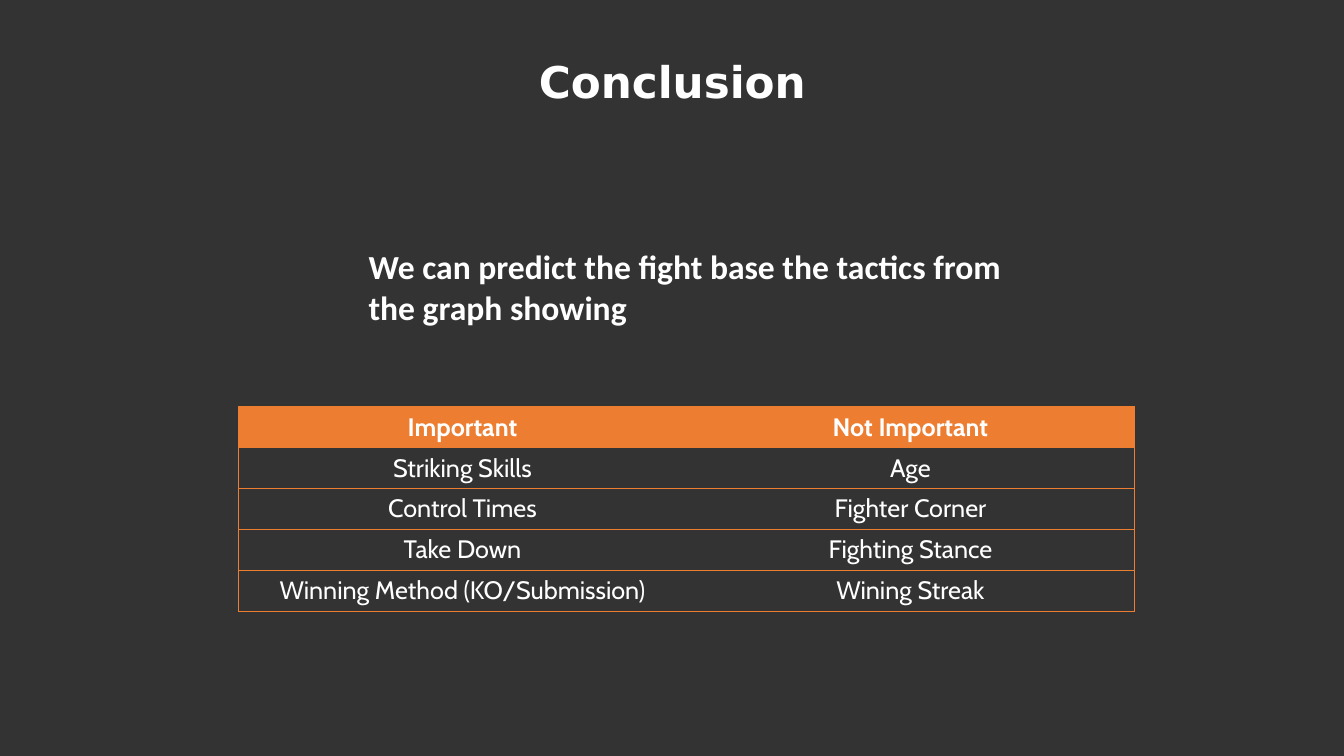
from dataclasses import dataclass

from lxml.etree import SubElement
from pptx import Presentation
from pptx.dml.color import RGBColor
from pptx.enum.shapes import MSO_SHAPE
from pptx.enum.text import MSO_ANCHOR, MSO_AUTO_SIZE, PP_ALIGN
from pptx.oxml.ns import qn
from pptx.slide import Slide
from pptx.table import _Cell
from pptx.text.text import TextFrame, _Paragraph
from pptx.util import Cm, Pt

BLACK = RGBColor(0x00, 0x00, 0x00)
WHITE = RGBColor(0xFF, 0xFF, 0xFF)
ORANGE = RGBColor(0xED, 0x7D, 0x31)

WIDTH, HEIGHT = Cm(33.87), Cm(19.05)
COL_WIDTH, ROW_HEIGHT = Cm(11.29), Cm(1.03)


@dataclass(frozen=True)
class Style:
    font: str
    size: float
    bold: bool
    align: PP_ALIGN


@dataclass(frozen=True)
class Factor:
    major: str
    minor: str


TITLE = Style("DejaVu Sans", 31.2, True, PP_ALIGN.CENTER)
CLAIM = Style("Calibri", 24, True, PP_ALIGN.LEFT)
HEAD = Style("Cabin", 18, True, PP_ALIGN.CENTER)
BODY = Style("Cabin", 18, False, PP_ALIGN.CENTER)

FACTORS = [
    Factor("Important", "Not Important"),
    Factor("Striking Skills", "Age"),
    Factor("Control Times", "Fighter Corner"),
    Factor("Take Down", "Fighting Stance"),
    Factor("Winning Method (KO/Submission)", "Wining Streak"),
]


def write(frame: TextFrame, text: str, style: Style) -> _Paragraph:
    para = frame.paragraphs[0]
    para.alignment = style.align
    run = para.add_run()
    run.text = text
    run.font.name = style.font
    run.font.size = Pt(style.size)
    run.font.bold = style.bold
    run.font.color.rgb = WHITE
    return para


def add_veil(slide: Slide) -> None:
    """Cover the page with see-through black, behind all else."""
    veil = slide.shapes.add_shape(MSO_SHAPE.RECTANGLE, 0, 0, WIDTH, HEIGHT)
    veil.shadow.inherit = False
    veil.line.fill.background()
    veil.fill.solid()
    veil.fill.fore_color.rgb = BLACK
    tint = next(veil.element.iter(qn("a:srgbClr")))
    SubElement(tint, qn("a:alpha"), val="80000")
    slide.shapes.element.insert(2, veil.element)


def set_title(slide: Slide) -> None:
    title = slide.shapes.title
    title.left, title.top = Cm(7.52), Cm(0.25)
    title.width, title.height = Cm(18.85), Cm(3.76)
    frame = title.text_frame
    frame.auto_size = MSO_AUTO_SIZE.NONE
    frame.vertical_anchor = MSO_ANCHOR.MIDDLE
    write(frame, "Conclusion", TITLE).line_spacing = 0.9


def add_claim(slide: Slide) -> None:
    box = slide.shapes.add_textbox(Cm(9.04), Cm(5.77), Cm(17.3), Cm(2.72))
    frame = box.text_frame
    frame.word_wrap = True
    frame.vertical_anchor = MSO_ANCHOR.BOTTOM
    frame.margin_left = frame.margin_right = Cm(0.25)
    frame.margin_top = frame.margin_bottom = Cm(0.25)
    write(frame, "We can predict the fight base the tactics from the graph showing", CLAIM)


def set_edges(cell: _Cell, first: bool) -> None:
    """Rule the cell in orange, but not between the two columns."""
    props = cell._tc.get_or_add_tcPr()
    for side in "LRTB":
        line = SubElement(props, qn(f"a:ln{side}"), w=str(Pt(0.5)))
        if side == ("R" if first else "L"):
            SubElement(line, qn("a:noFill"))
        else:
            fill = SubElement(line, qn("a:solidFill"))
            SubElement(fill, qn("a:srgbClr"), val=str(ORANGE))


def add_factors(slide: Slide) -> None:
    count = len(FACTORS)
    table = slide.shapes.add_table(
        count, 2, Cm(6.01), Cm(10.25), COL_WIDTH * 2, ROW_HEIGHT * count
    ).table
    table.horz_banding = False
    for col in table.columns:
        col.width = COL_WIDTH
    for i, factor in enumerate(FACTORS):
        table.rows[i].height = ROW_HEIGHT
        for j, text in enumerate((factor.major, factor.minor)):
            cell = table.cell(i, j)
            set_edges(cell, j == 0)
            if i == 0:
                cell.fill.solid()
                cell.fill.fore_color.rgb = ORANGE
            else:
                cell.fill.background()
            write(cell.text_frame, text, BODY if i else HEAD)


def main() -> None:
    deck = Presentation()
    deck.slide_width, deck.slide_height = WIDTH, HEIGHT
    slide = deck.slides.add_slide(deck.slide_layouts[5])
    add_veil(slide)
    set_title(slide)
    add_claim(slide)
    add_factors(slide)
    deck.save("out.pptx")


if __name__ == "__main__":
    main()
